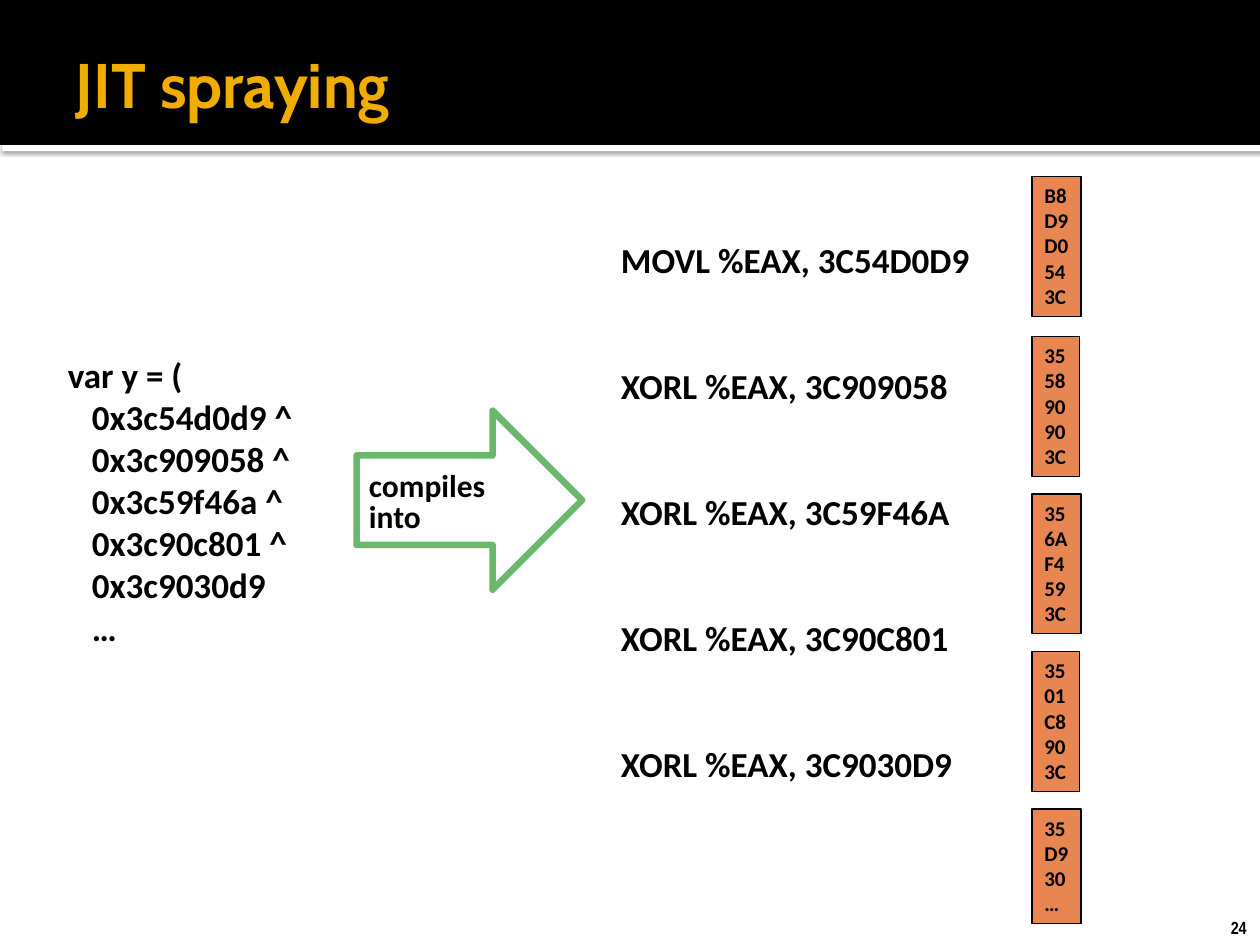
from lxml import etree
from pptx import Presentation
from pptx.dml.color import RGBColor
from pptx.enum.shapes import MSO_SHAPE
from pptx.enum.text import MSO_ANCHOR, MSO_AUTO_SIZE, PP_ALIGN
from pptx.oxml.ns import qn
from pptx.util import Inches, Pt

RECT, ARROW = MSO_SHAPE.RECTANGLE, MSO_SHAPE.RIGHT_ARROW
TOP, MIDDLE, LEFT = MSO_ANCHOR.TOP, MSO_ANCHOR.MIDDLE, PP_ALIGN.LEFT
GROW, FIXED = MSO_AUTO_SIZE.SHAPE_TO_FIT_TEXT, MSO_AUTO_SIZE.NONE
COLORS = {"black": "000000", "white": "FFFFFF", "gold": "F0AD00",
          "orange": "E88651", "green": "6BB76D"}

SOURCE = ["var y = (", "0x3c54d0d9 ^", "0x3c909058 ^", "0x3c59f46a ^",
          "0x3c90c801 ^", "0x3c9030d9", "…"]
ASSEMBLY = ["MOVL %EAX, 3C54D0D9", "XORL %EAX, 3C909058", "XORL %EAX, 3C59F46A",
            "XORL %EAX, 3C90C801", "XORL %EAX, 3C9030D9"]
BYTES = [(1.4, 0.39, 1.11, "B8 D9 D0 54 3C"),
         (2.67, 0.38, 1.11, "35 58 90 90 3C"),
         (3.92, 0.39, 1.11, "35 6A F4 59 3C"),
         (5.17, 0.38, 1.11, "35 01 C8 90 3C"),
         (6.42, 0.39, 0.91, "35 D9 30 …")]


def rgb(name):
    return RGBColor.from_string(COLORS[name])


def write(tf, lines, size=20, font="Calibri", color="black", anchor=TOP,
          wrap=True, auto=FIXED, gap=0):
    tf.word_wrap, tf.auto_size, tf.vertical_anchor = wrap, auto, anchor
    for i, line in enumerate(lines):
        p = tf.add_paragraph() if i else tf.paragraphs[0]
        p.alignment = LEFT
        if gap and i < len(lines) - 1:
            p.space_after = Pt(gap)
        r = p.add_run()
        r.text = line
        r.font.size, r.font.name, r.font.bold = Pt(size), font, True
        r.font.color.rgb = rgb(color)


class Deck:
    def __init__(self, prs):
        self.s = prs.slides.add_slide(prs.slide_layouts[5])

    def shape(self, kind, box, fill, line=None, width=0.75):
        sp = self.s.shapes.add_shape(kind, *map(Inches, box))
        sp.shadow.inherit = False
        sp.fill.solid()
        sp.fill.fore_color.rgb = rgb(fill)
        if line:
            sp.line.color.rgb = rgb(line)
            sp.line.width = Pt(width)
        else:
            sp.line.fill.background()
        return sp

    def drop_shadow(self, sp, blur, dist, alpha):
        effects = sp.element.spPr.find(qn("a:effectLst"))
        shadow = etree.SubElement(effects, qn("a:outerShdw"), blurRad=str(Pt(blur)),
                                  dist=str(Pt(dist)), dir="5400000", rotWithShape="0")
        color = etree.SubElement(shadow, qn("a:srgbClr"), val=COLORS["black"])
        etree.SubElement(color, qn("a:alpha"), val=str(alpha * 1000))

    def text(self, box, lines, **fmt):
        sp = self.s.shapes.add_textbox(*map(Inches, box))
        write(sp.text_frame, lines, **fmt)
        return sp

    def title(self, box, text):
        sp = self.s.shapes.title
        sp.left, sp.top, sp.width, sp.height = map(Inches, box)
        sp.text_frame.margin_right = Inches(0.05)
        write(sp.text_frame, [text], size=36, font="Cabin", color="gold", anchor=MIDDLE)
        tree = self.s.shapes.element
        tree.remove(sp.element)
        tree.append(sp.element)

    def indent(self, paragraphs, inches):
        for p in paragraphs:
            pPr = p._p.get_or_add_pPr()
            pPr.set("marL", str(Inches(inches)))
            pPr.set("indent", "0")


def main():
    prs = Presentation()
    prs.slide_width, prs.slide_height = Inches(10), Inches(7.5)
    deck = Deck(prs)

    band = deck.shape(RECT, (0.02, 1.15, 10, 0.05), "white")
    deck.drop_shadow(band, blur=2.5, dist=0.8, alpha=60)
    deck.shape(RECT, (0, 0, 10, 1.15), "black")
    deck.title((0.5, 0.17, 9, 0.98), "JIT spraying")
    deck.text((9.67, 7.23, 0.34, 0.27), ["24"], size=10, font="Arial Narrow",
              wrap=False, auto=GROW)

    code = deck.text((0.44, 2.76, 2.52, 2.46), SOURCE, auto=GROW)
    deck.indent(code.text_frame.paragraphs[1:], 0.19)
    deck.text((4.83, 1.84, 3.08, 4.48), ASSEMBLY, gap=48)

    for top, width, height, codes in BYTES:
        sp = deck.shape(RECT, (8.19, top, width, height), "orange", "black")
        write(sp.text_frame, codes.split(), size=12, wrap=False, auto=GROW)

    arrow = deck.shape(ARROW, (2.83, 3.26, 1.79, 1.42), "white", "green", 3.78)
    write(arrow.text_frame, ["compiles", "into"], size=18, anchor=MIDDLE)
    arrow.text_frame.paragraphs[1].line_spacing = 0.8

    prs.save("out.pptx")


if __name__ == "__main__":
    main()
